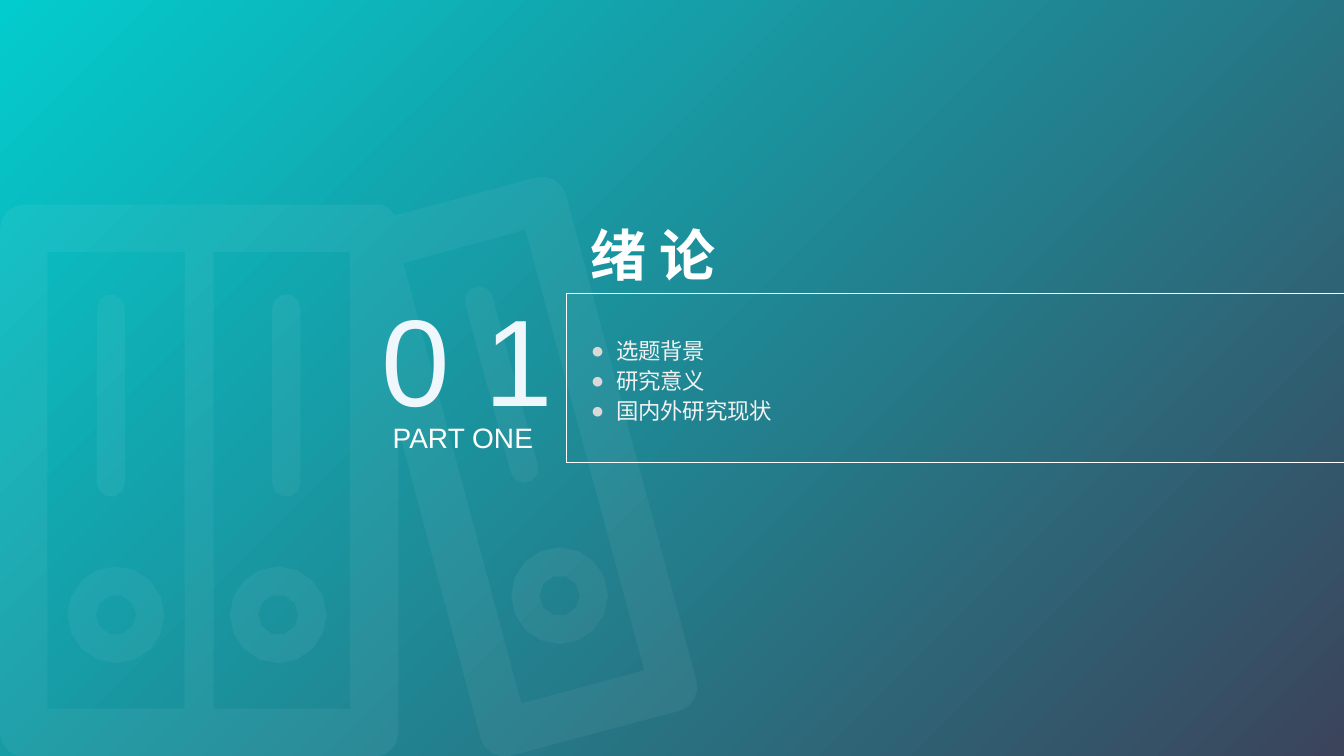
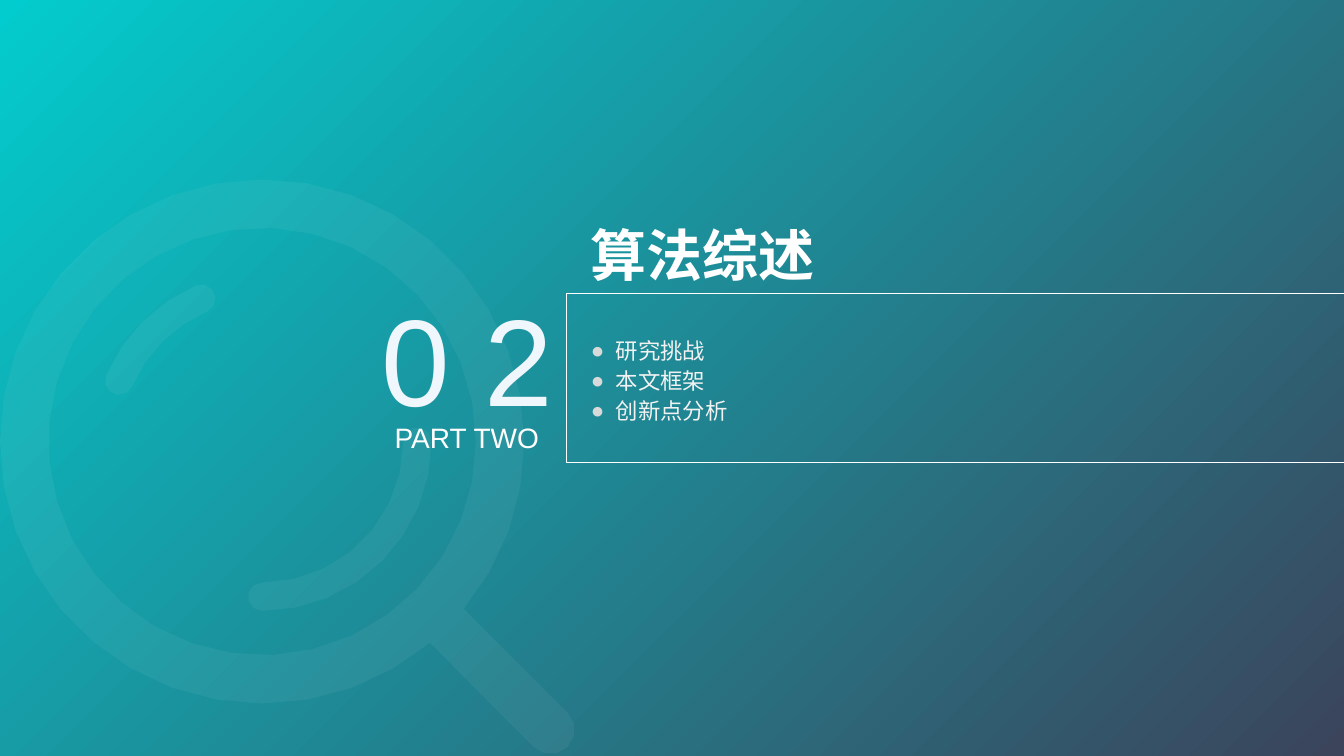
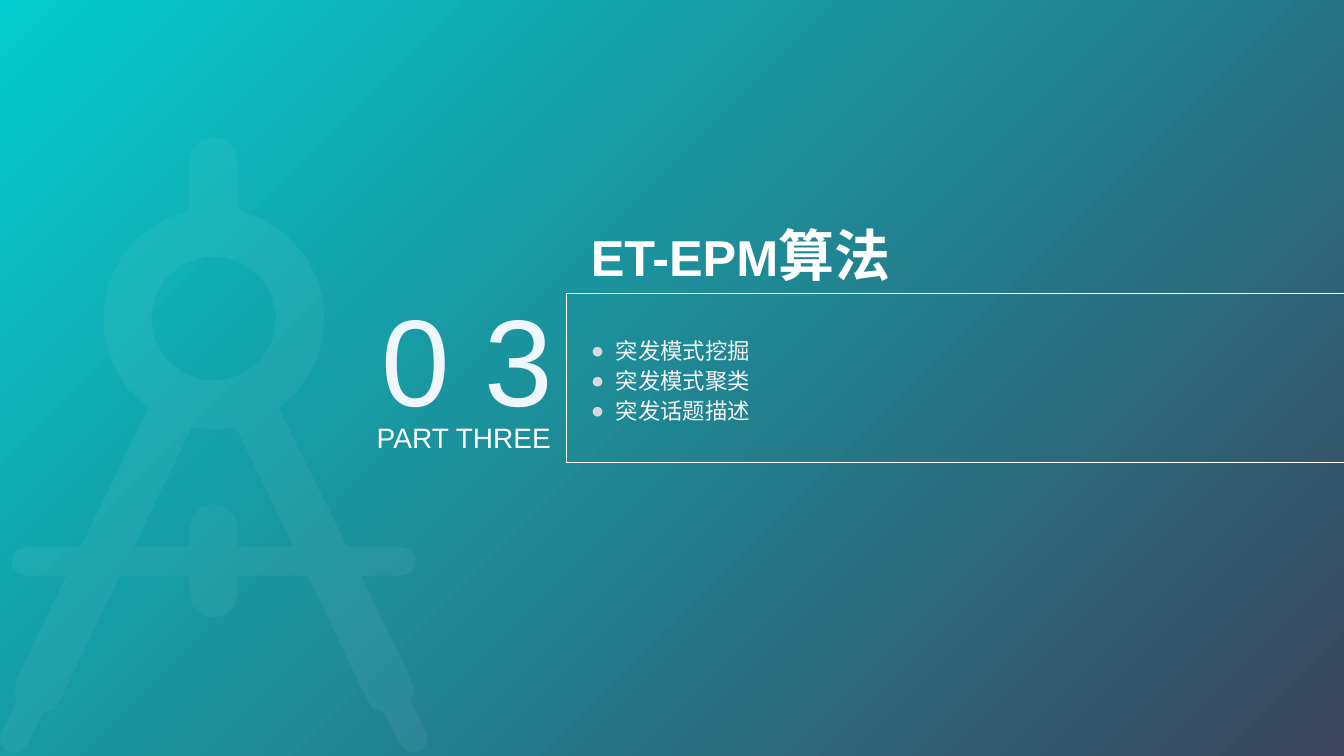
from math import acos, ceil, cos, degrees, hypot, radians, sin

from lxml.etree import SubElement
from pptx import Presentation
from pptx.dml.color import RGBColor
from pptx.enum.shapes import MSO_SHAPE
from pptx.enum.text import MSO_ANCHOR, MSO_AUTO_SIZE, PP_ALIGN
from pptx.oxml.ns import qn
from pptx.util import Inches, Pt

TURQUOISE = RGBColor(0x03, 0xCC, 0xCE)
SLATE = RGBColor(0x3B, 0x44, 0x5B)
WHITE = RGBColor(0xFF, 0xFF, 0xFF)
ICE = RGBColor(0xEF, 0xF6, 0xFC)
PALE_GREY = RGBColor(0xF2, 0xF2, 0xF2)
BULLET_GREY = RGBColor(0xD9, 0xD9, 0xD9)
FONT = "Arial"
FLATNESS = 0.01


def arc(x, y, radius, start, end):
    """Return points on an arc, with angles in degrees clockwise from the right."""
    steps = max(1, ceil(abs(end - start) / degrees(2 * acos(1 - FLATNESS / radius))))
    angles = [radians(start + (end - start) * i / steps) for i in range(steps + 1)]
    return [(x + radius * cos(angle), y + radius * sin(angle)) for angle in angles]


def circle(x, y, radius):
    """Return a full circle."""
    return arc(x, y, radius, 0, 360)[:-1]


def capsule(x1, y1, x2, y2, radius, tilt=0):
    """Return an upright bar with round ends, its axis tilted by some degrees."""
    return (arc(x1, y1, radius, 180 - tilt, 360 - tilt)
            + arc(x2, y2, radius, -tilt, 180 - tilt))


def curved_bar(x, y, radius, start, end, half_width):
    """Return a thick arc with round ends."""
    first_x, first_y = arc(x, y, radius, start, end)[0]
    last_x, last_y = arc(x, y, radius, start, end)[-1]
    return (arc(x, y, radius + half_width, start, end)
            + arc(last_x, last_y, half_width, end, end + 180)[1:-1]
            + arc(x, y, radius - half_width, end, start)
            + arc(first_x, first_y, half_width, start + 180, start + 360)[1:-1])


def rounded(corners):
    """Return a polygon whose corners (x, y, radius) are rounded off."""
    points = []
    for i, (x, y, radius) in enumerate(corners):
        if not radius:
            points.append((x, y))
            continue
        ends = []
        for other_x, other_y, _ in (corners[i - 1], corners[(i + 1) % len(corners)]):
            share = radius / hypot(other_x - x, other_y - y)
            ends.append((x + (other_x - x) * share, y + (other_y - y) * share))
        for step in range(5):
            t = step / 4
            enter = (1 - t) ** 3 + 1.35 * t * (1 - t) ** 2
            leave = t ** 3 + 1.35 * t ** 2 * (1 - t)
            points.append(tuple(
                enter * a + leave * b + (1 - enter - leave) * corner
                for a, b, corner in zip(ends[0], ends[1], (x, y))))
    return points


def mirrored(half, axis):
    """Join a right half to its mirror image about a vertical axis."""
    return half + [(2 * axis - x, y) for x, y in reversed(half)]


def binders():
    """Return the contours of two upright binders and a leaning one."""
    contours = [
        rounded([(0, 2.03, 0.24), (3.86, 2.03, 0.1), (3.91, 2.14, 0),
                 (5.55, 1.7, 0.24), (6.97, 6.99, 0.24), (4.83, 7.56, 0.24),
                 (3.95, 4.25, 0), (3.95, 7.51, 0.24), (0, 7.51, 0.24)]),
        [(4, 2.61), (5.21, 2.28), (6.39, 6.65), (5.17, 6.98)],
        capsule(4.75, 2.98, 5.2, 4.65, 0.14, 15),
    ]
    for left, right, bar in ((0.47, 1.83, 1.1), (2.12, 3.47, 2.84)):
        contours.append([(left, 2.5), (right, 2.5), (right, 7.03), (left, 7.03)])
        contours.append(capsule(bar, 3.06, bar, 4.79, 0.14))
    for x, y in ((1.15, 6.1), (2.76, 6.1), (5.55, 5.91)):
        contours += [circle(x, y, 0.48), circle(x, y, 0.2)]
    return contours


def magnifier():
    """Return the contours of a magnifying glass."""
    x, y = 2.6, 4.38
    return [
        arc(x, y, 2.6, 50.2, 399.7) + arc(5.46, 7.24, 0.24, -45, 135),
        circle(x, y, 2.12),
        curved_bar(x, y, 1.54, 203, 247, 0.14),
        curved_bar(x, y, 1.54, 0, 90, 0.14),
    ]


def compass():
    """Return the contours of a drawing compass."""
    axis = 2.12
    outline = (arc(axis, 1.6, 0.24, -90, 0) + arc(axis, 3.16, 1.1, -77, 54)
               + [(3.44, 5.42)] + arc(3.99, 5.57, 0.14, -90, 90)
               + [(3.58, 5.71), (4.07, 6.73), (4.1, 6.84), (4.07, 6.95)]
               + arc(4.1, 7.33, 0.14, -25, 155)
               + [(3.81, 7.07), (3.71, 7.04), (3.64, 6.94), (3.05, 5.71), (2.36, 5.71)]
               + arc(axis, 5.89, 0.24, 0, 90))
    gap = (arc(axis, 5.24, 0.24, -90, 0)
           + [(2.36, 5.42), (2.91, 5.42), (2.34, 4.24), (axis, 4.26)])
    return [mirrored(outline, axis), mirrored(gap, axis), circle(axis, 3.16, 0.62)]


class SectionDeck:
    """Hold the shared style and the slide being built."""

    def __init__(self):
        """Start a wide presentation with a gradient background."""
        self.presentation = Presentation()
        self.presentation.slide_width = Inches(13.33)
        self.presentation.slide_height = Inches(7.5)
        self.slide = None
        fill = self.presentation.slide_master.background.fill
        fill.gradient()
        fill.gradient_angle = 315
        for stop, color in zip(fill.gradient_stops, (TURQUOISE, SLATE)):
            stop.color.rgb = color

    def new_slide(self):
        """Add a blank slide."""
        self.slide = self.presentation.slides.add_slide(
            self.presentation.slide_layouts[6])

    def format_frame(self, frame, wrap=True):
        """Set the shared insets and wrapping of a text frame."""
        frame.margin_left = frame.margin_right = Inches(0.13)
        frame.margin_top = frame.margin_bottom = Inches(0.07)
        frame.word_wrap = wrap
        frame.auto_size = MSO_AUTO_SIZE.NONE

    def format_font(self, font, size, color):
        """Set the typeface, size and colour of a font."""
        font.name = FONT
        font.size = Pt(size)
        font.color.rgb = color

    def icon(self, contours):
        """Draw contours as one faint shape with holes."""
        contours = [[(Inches(x), Inches(y)) for x, y in contour] for contour in contours]
        builder = self.slide.shapes.build_freeform(*contours[0][0], scale=1.0)
        builder.add_line_segments(contours[0][1:], close=True)
        for contour in contours[1:]:
            builder.move_to(*contour[0])
            builder.add_line_segments(contour[1:], close=True)
        shape = builder.convert_to_shape()
        shape.shadow.inherit = False
        shape.fill.solid()
        shape.fill.fore_color.rgb = WHITE
        color = shape.element.spPr.find(qn("a:solidFill"))[0]
        SubElement(color, qn("a:alpha")).set("val", "5000")
        shape.line.fill.background()

    def box(self, preset, left, top, width, height):
        """Add an unfilled preset shape without a line."""
        shape = self.slide.shapes.add_shape(
            preset, Inches(left), Inches(top), Inches(width), Inches(height))
        shape.shadow.inherit = False
        shape.fill.background()
        shape.line.fill.background()
        return shape

    def frame(self):
        """Draw the thin frame around the topics."""
        shape = self.box(MSO_SHAPE.RECTANGLE, 5.62, 2.91, 7.72, 1.68)
        shape.line.color.rgb = WHITE
        shape.line.width = Pt(0.5)

    def heading(self, runs, width):
        """Write the section heading from (text, size) runs."""
        shape = self.box(MSO_SHAPE.ROUNDED_RECTANGLE, 5.73, 2.18, width, 0.69)
        shape.adjustments[0] = 0
        self.format_frame(shape.text_frame)
        shape.text_frame.vertical_anchor = MSO_ANCHOR.MIDDLE
        paragraph = shape.text_frame.paragraphs[0]
        paragraph.alignment = PP_ALIGN.LEFT
        for text, size in runs:
            run = paragraph.add_run()
            run.text = text
            run.font.bold = True
            self.format_font(run.font, size, WHITE)

    def label(self, text, left, top, width, height, size, color, wrap=True):
        """Write one centred line."""
        box = self.slide.shapes.add_textbox(
            Inches(left), Inches(top), Inches(width), Inches(height))
        self.format_frame(box.text_frame, wrap)
        paragraph = box.text_frame.paragraphs[0]
        paragraph.text = text
        paragraph.alignment = PP_ALIGN.CENTER
        self.format_font(paragraph.font, size, color)

    def topics(self, items, width):
        """Write the bulleted topics."""
        box = self.slide.shapes.add_textbox(
            Inches(5.73), Inches(3.25), Inches(width), Inches(1.02))
        frame = box.text_frame
        self.format_frame(frame, wrap=False)
        for i, item in enumerate(items):
            paragraph = frame.add_paragraph() if i else frame.paragraphs[0]
            paragraph.text = item
            properties = paragraph._p.get_or_add_pPr()
            properties.set("marL", str(Inches(0.25)))
            properties.set("indent", str(-Inches(0.25)))
            color = SubElement(properties, qn("a:buClr"))
            SubElement(color, qn("a:srgbClr")).set("val", str(BULLET_GREY))
            SubElement(properties, qn("a:buFont")).set("typeface", FONT)
            SubElement(properties, qn("a:buChar")).set("char", "●")
            paragraph.line_spacing = Pt(21.3)
            self.format_font(paragraph.font, 16, PALE_GREY)

    def section(self, icon, number, heading, heading_width, topics, topics_width,
                part, part_left, part_width):
        """Build one section slide."""
        self.new_slide()
        self.icon(icon)
        self.frame()
        self.heading(heading, heading_width)
        self.label(number, 3.64, 2.74, 1.99, 1.62, 88, ICE, wrap=False)
        self.topics(topics, topics_width)
        self.label(part, part_left, 4.1, part_width, 0.47, 20, WHITE)


def main():
    """Build and save the section slides."""
    deck = SectionDeck()
    deck.section(binders(), "0 1", [("绪 论", 40)], 1.57,
                 ["选题背景", "研究意义", "国内外研究现状"], 2.09,
                 "PART ONE ", 3.75, 1.68)
    deck.section(magnifier(), "0 2", [("算法综述", 40)], 5.35,
                 ["研究挑战", "本文框架", "创新点分析"], 1.64,
                 "PART TWO", 3.75, 1.76)
    deck.section(compass(), "0 3", [("ET-EPM", 36), ("算法", 40)], 5.35,
                 ["突发模式挖掘", "突发模式聚类", "突发话题描述"], 1.87,
                 "PART THREE", 3.59, 2.02)
    deck.presentation.save("out.pptx")


if __name__ == "__main__":
    main()
